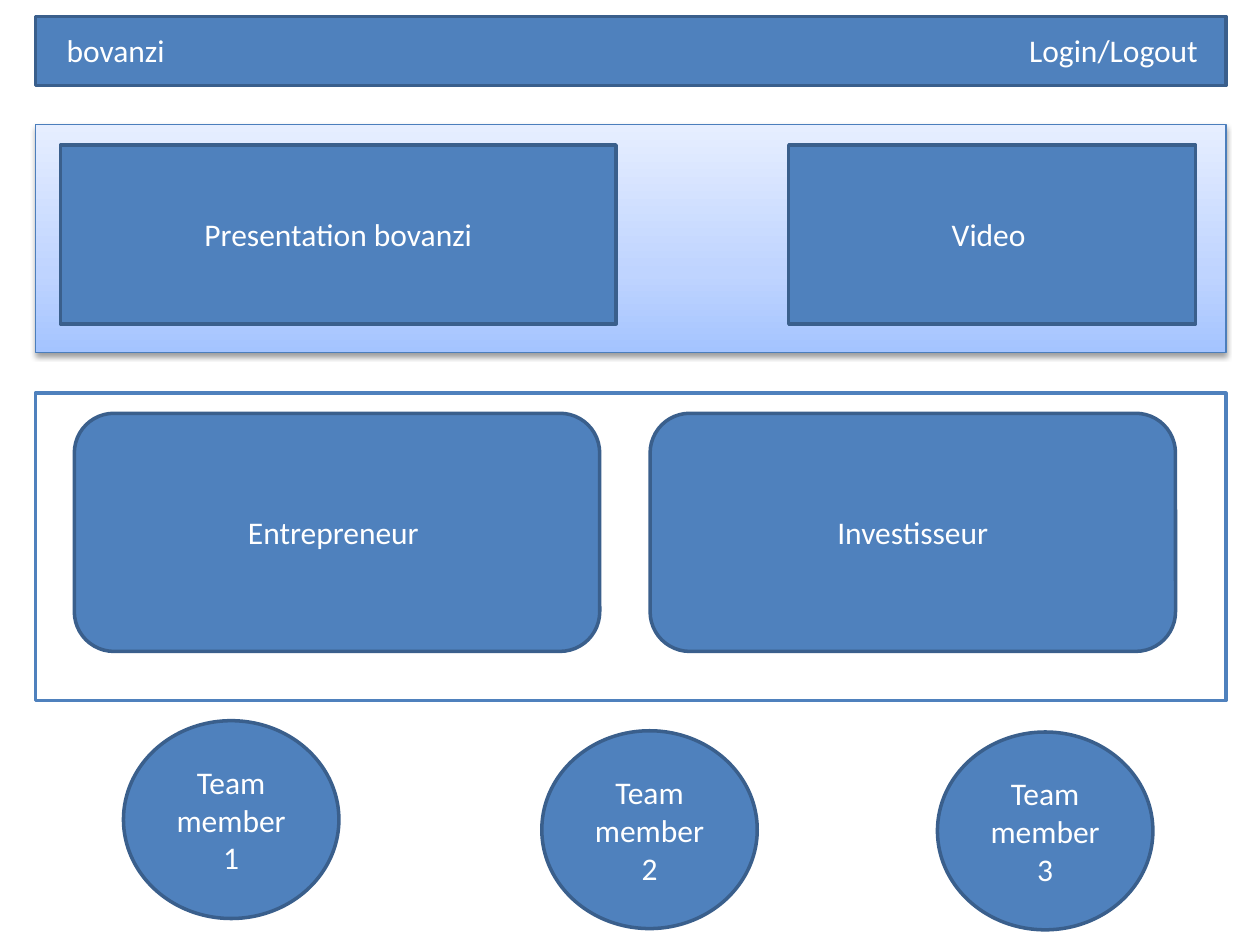
from lxml import etree
from pptx import Presentation
from pptx.dml.color import RGBColor
from pptx.enum.shapes import MSO_SHAPE
from pptx.enum.text import MSO_ANCHOR, MSO_AUTO_SIZE, PP_ALIGN
from pptx.oxml.ns import qn
from pptx.util import Inches, Pt

RECT = MSO_SHAPE.RECTANGLE
ROUNDED = MSO_SHAPE.ROUNDED_RECTANGLE
OVAL = MSO_SHAPE.OVAL
MIDDLE = MSO_ANCHOR.MIDDLE
CENTER = PP_ALIGN.CENTER
GROW = MSO_AUTO_SIZE.SHAPE_TO_FIT_TEXT

COLORS = {
    "blue": "4F81BD", "edge": "3A5F8C", "white": "FFFFFF",
    "banner_edge": "4B7EBC", "shadow": "000000",
    "deep": "A4C4FF", "mid": "BFD4FF", "pale": "E6EEFF",
}
CELL = 0.1


def grid(*cells):
    return [Inches(round(cell * CELL, 3)) for cell in cells]


def add_node(parent, tag, **attributes):
    node = etree.SubElement(parent, qn(tag))
    for key, value in attributes.items():
        node.set(key, str(int(value)))
    return node


def add_color(parent, name):
    node = etree.SubElement(parent, qn("a:srgbClr"))
    node.set("val", COLORS[name])
    return node


class Wireframe:
    font = "Calibri"
    size = Pt(18)

    def __init__(self, slide):
        self.slide = slide

    def color(self, name):
        return RGBColor.from_string(COLORS[name])

    def add_text(self, frame, text):
        paragraph = frame.paragraphs[0]
        run = paragraph.add_run()
        run.text = text
        run.font.name = self.font
        run.font.size = self.size
        run.font.color.rgb = self.color("white")
        return paragraph

    def block(self, kind, place, text=None, fill="blue", edge="edge", width=2):
        shape = self.slide.shapes.add_shape(kind, *grid(*place))
        shape.shadow.inherit = False
        shape.fill.solid()
        shape.fill.fore_color.rgb = self.color(fill)
        shape.line.color.rgb = self.color(edge)
        shape.line.width = Pt(width)
        if text:
            shape.text_frame.word_wrap = True
            shape.text_frame.vertical_anchor = MIDDLE
            self.add_text(shape.text_frame, text).alignment = CENTER
        return shape

    def label(self, place, text):
        frame = self.slide.shapes.add_textbox(*grid(*place)).text_frame
        frame.word_wrap = False
        frame.auto_size = GROW
        self.add_text(frame, text)

    def banner(self, place, stops):
        shape = self.block(RECT, place, edge="banner_edge", width=0.75)
        shape.fill.gradient()
        properties = shape.element.spPr
        stop_list = properties.find(".//" + qn("a:gsLst"))
        for stop in list(stop_list):
            stop_list.remove(stop)
        for share, name in stops:
            add_color(add_node(stop_list, "a:gs", pos=share * 1000), name)
        properties.find(".//" + qn("a:lin")).set("ang", str(270 * 60000))
        shadow = add_node(properties.find(qn("a:effectLst")), "a:outerShdw",
                          blurRad=Pt(3.1), dist=Pt(1.6), dir=90 * 60000,
                          rotWithShape=0)
        add_node(add_color(shadow, "shadow"), "a:alpha", val=38000)


deck = Presentation()
deck.slide_width, deck.slide_height = Inches(10), Inches(7.5)
page = Wireframe(deck.slides.add_slide(deck.slide_layouts[6]))

margin, full = 2.8, 94.5

page.block(RECT, (margin, 1.3, full, 5.5))
page.label((4.3, 2, 9.8, 4), "bovanzi")
page.label((80.7, 2, 15.6, 4), "Login/Logout")

page.banner((margin, 9.9, full, 18.1), [(0, "deep"), (35, "mid"), (100, "pale")])
for left, width, topic in ((4.8, 44.1, "Presentation bovanzi"), (62.6, 32.3, "Video ")):
    page.block(RECT, (left, 11.5, width, 14.2), topic)

page.block(RECT, (margin, 31.2, full, 24.4), fill="white", edge="blue")
for left, role in ((5.9, "Entrepreneur "), (51.6, "Investisseur")):
    page.block(ROUNDED, (left, 32.8, 41.7, 18.9), role)

for number, (left, top) in enumerate(((9.8, 57.2), (43, 58), (74.4, 58.1)), 1):
    page.block(OVAL, (left, top, 17.1, 15.7), f"Team member {number}")

deck.save("out.pptx")
